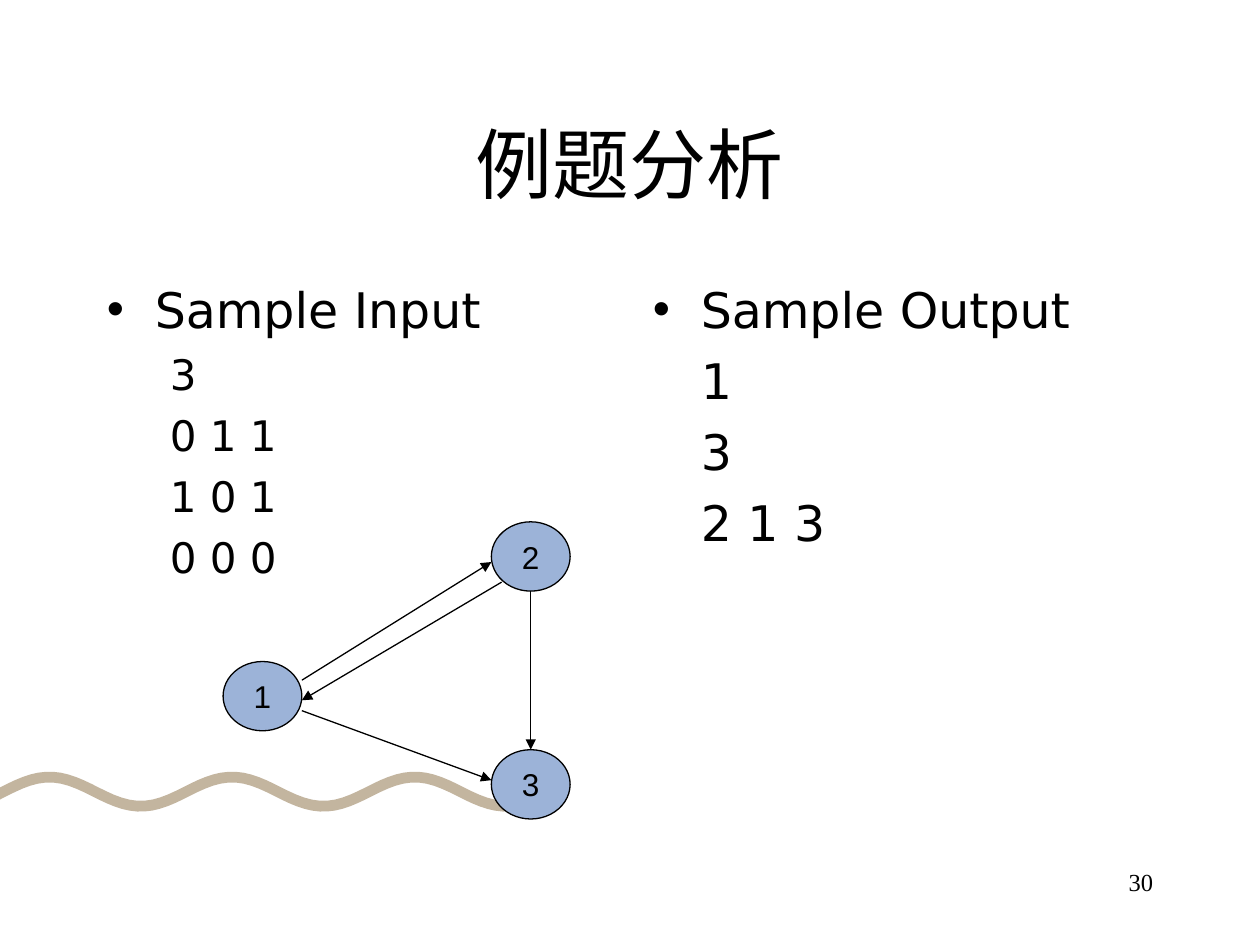
import math
from dataclasses import dataclass

from lxml import etree
from pptx import Presentation
from pptx.dml.color import RGBColor
from pptx.enum.shapes import MSO_CONNECTOR, MSO_SHAPE
from pptx.enum.text import MSO_ANCHOR, MSO_AUTO_SIZE, PP_ALIGN
from pptx.oxml.ns import qn
from pptx.util import Inches, Pt

LEFT, CENTER, RIGHT = PP_ALIGN.LEFT, PP_ALIGN.CENTER, PP_ALIGN.RIGHT
TOP, MIDDLE = MSO_ANCHOR.TOP, MSO_ANCHOR.MIDDLE
NO_FIT = MSO_AUTO_SIZE.NONE
OVAL, STRAIGHT = MSO_SHAPE.OVAL, MSO_CONNECTOR.STRAIGHT

SLIDE_WIDTH, SLIDE_HEIGHT = Inches(10), Inches(7.5)
COLUMN, ROW = SLIDE_WIDTH / 120, SLIDE_HEIGHT / 90


@dataclass(frozen=True)
class Theme:
    ink: RGBColor = RGBColor(0, 0, 0)
    node: RGBColor = RGBColor(0x9C, 0xB3, 0xD8)
    wave: RGBColor = RGBColor(0xC3, 0xB5, 0x9F)
    body_font: str = "DejaVu Sans"
    node_font: str = "Arial"
    bullet_font: str = "Arial"
    number_font: str = "Times New Roman"
    title_size: int = 44
    heading_size: int = 28
    matrix_size: int = 24
    node_size: int = 18
    number_size: int = 14
    line_width: float = 0.75


THEME = Theme()

WAVE_CYCLES = 3
WAVE_FIRST_CREST = 0.27
WAVE_THICKNESS = 0.27
WAVE_STEPS = 72

NODE_WIDTH, NODE_HEIGHT = 7.5, 6.6
NODE_CORNERS = {"1": (21.25, 63), "2": (46.8, 49.7), "3": (46.8, 71.4)}
EDGES = [
    ("1", (1, 0.27), "2", (0, 0.58)),
    ("1", (1, 0.71), "3", (0, 0.44)),
    ("2", (0.13, 0.87), "1", (1, 0.56)),
    ("2", (0.5, 1), "3", (0.5, 0)),
]


def grid(left, top, width, height):
    return round(left * COLUMN), round(top * ROW), round(width * COLUMN), round(height * ROW)


def point_on(box, share):
    left, top, width, height = box
    return round(left + share[0] * width), round(top + share[1] * height)


def format_paragraph(paragraph, font_name, size, alignment=LEFT):
    paragraph.alignment = alignment
    for run in paragraph.runs:
        run.font.name = font_name
        run.font.size = Pt(size)
        run.font.color.rgb = THEME.ink
        etree.SubElement(run.font._element, qn("a:ea"), typeface=font_name)


def paint(shape, color):
    shape.shadow.inherit = False
    shape.fill.solid()
    shape.fill.fore_color.rgb = color


def draw_outline(line):
    line.color.rgb = THEME.ink
    line.width = Pt(THEME.line_width)


def set_indent(paragraph, margin, bullet=None):
    properties = paragraph._p.get_or_add_pPr()
    properties.set("marL", str(Inches(margin)))
    properties.set("indent", str(-Inches(margin) if bullet else 0))
    if bullet:
        etree.SubElement(properties, qn("a:buFont"), typeface=THEME.bullet_font)
        etree.SubElement(properties, qn("a:buChar"), char=bullet)
    else:
        etree.SubElement(properties, qn("a:buNone"))


def add_wave(slide, box):
    left, top, width, height = box
    thickness = WAVE_THICKNESS * height
    amplitude = (height - thickness) / 2
    middle = top + height / 2
    angular_rate = 2 * math.pi * WAVE_CYCLES / width
    upper_edge, lower_edge = [], []
    for step in range(WAVE_STEPS + 1):
        distance = width * step / WAVE_STEPS
        angle = angular_rate * distance - 2 * math.pi * WAVE_FIRST_CREST
        center = middle - amplitude * math.cos(angle)
        slope = amplitude * angular_rate * math.sin(angle)
        half_band = thickness / 2 * math.hypot(1, slope)
        upper_edge.append((round(left + distance), round(center - half_band)))
        lower_edge.append((round(left + distance), round(center + half_band)))
    start, *outline = upper_edge + lower_edge[::-1]
    builder = slide.shapes.build_freeform(*start)
    builder.add_line_segments(outline, close=True)
    wave = builder.convert_to_shape()
    paint(wave, THEME.wave)
    wave.line.fill.background()


def place_title(slide, box, text):
    title = slide.shapes.title
    title.left, title.top, title.width, title.height = box
    frame = title.text_frame
    frame.text = text
    frame.vertical_anchor = MIDDLE
    frame.auto_size = NO_FIT
    format_paragraph(frame.paragraphs[0], THEME.body_font, THEME.title_size, CENTER)


def add_sample(slide, box, heading, lines, size, margin, space):
    frame = slide.shapes.add_textbox(*box).text_frame
    frame.word_wrap = True
    frame.vertical_anchor = TOP
    frame.text = "\n".join([heading, *lines])
    heading_paragraph, *line_paragraphs = frame.paragraphs
    set_indent(heading_paragraph, 0.38, "•")
    format_paragraph(heading_paragraph, THEME.body_font, THEME.heading_size)
    for paragraph in line_paragraphs:
        paragraph.space_before = Pt(space)
        set_indent(paragraph, margin)
        format_paragraph(paragraph, THEME.body_font, size)


def add_page_number(slide, box, text):
    frame = slide.shapes.add_textbox(*box).text_frame
    frame.word_wrap = True
    frame.text = text
    format_paragraph(frame.paragraphs[0], THEME.number_font, THEME.number_size, RIGHT)


def add_node(slide, box, label):
    node = slide.shapes.add_shape(OVAL, *box)
    paint(node, THEME.node)
    draw_outline(node.line)
    frame = node.text_frame
    frame.word_wrap = False
    frame.vertical_anchor = MIDDLE
    frame.text = label
    format_paragraph(frame.paragraphs[0], THEME.node_font, THEME.node_size, CENTER)


def add_arrow(slide, start, end):
    arrow = slide.shapes.add_connector(STRAIGHT, *start, *end)
    draw_outline(arrow.line)
    properties = arrow._element.spPr
    etree.SubElement(properties.find(qn("a:ln")), qn("a:tailEnd"), type="triangle")
    etree.SubElement(properties, qn("a:effectLst"))


def add_graph(slide):
    boxes = {label: grid(*corner, NODE_WIDTH, NODE_HEIGHT)
             for label, corner in NODE_CORNERS.items()}
    for label, box in boxes.items():
        add_node(slide, box, label)
    for source, source_share, target, target_share in EDGES:
        add_arrow(slide, point_on(boxes[source], source_share),
                  point_on(boxes[target], target_share))


def main():
    presentation = Presentation()
    presentation.slide_width, presentation.slide_height = SLIDE_WIDTH, SLIDE_HEIGHT
    slide = presentation.slides.add_slide(presentation.slide_layouts[5])
    add_wave(slide, grid(0, 73.5, 52.2, 3.8))
    add_page_number(slide, grid(86, 82, 25, 6), "30")
    place_title(slide, grid(9, 8, 102, 15), "例题分析")
    add_sample(slide, grid(9, 26, 50, 54), "Sample Input",
               ["3", "0 1 1", "1 0 1", "0 0 0"], THEME.matrix_size, margin=0.5, space=6)
    add_sample(slide, grid(61, 26, 50, 54), "Sample Output",
               ["1", "3", "2 1 3"], THEME.heading_size, margin=0.38, space=7)
    add_graph(slide)
    presentation.save("out.pptx")


if __name__ == "__main__":
    main()
